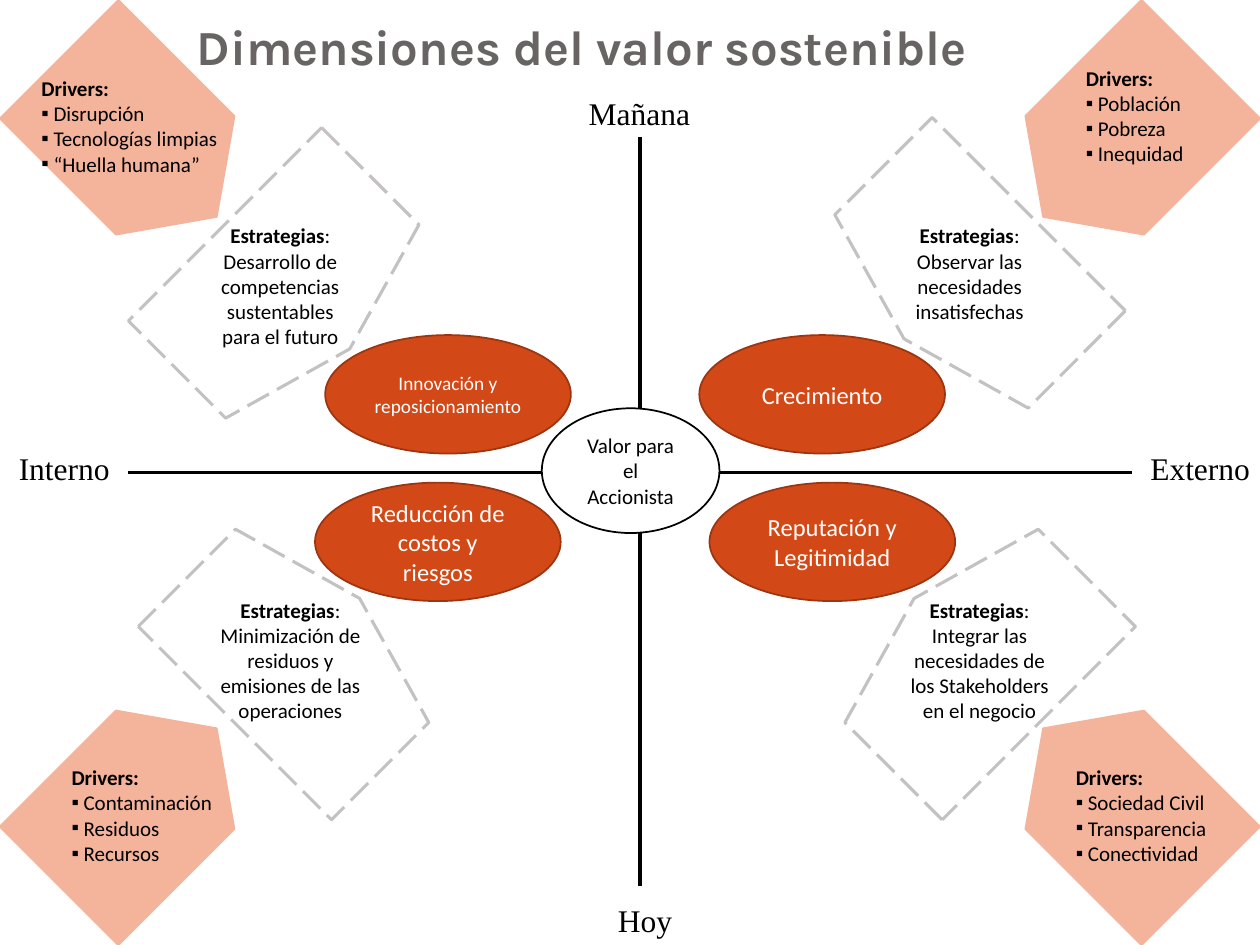
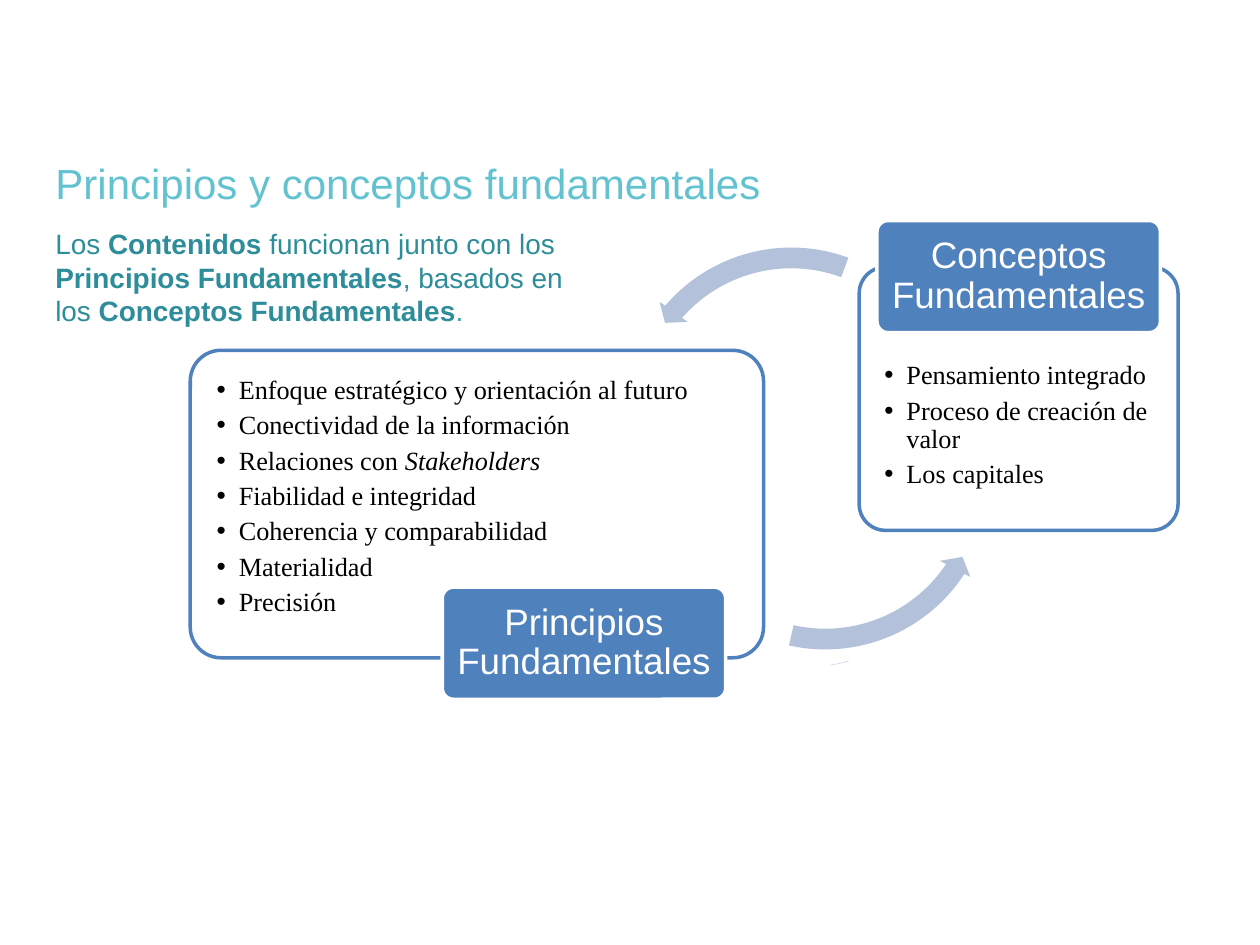
from lxml import etree
from pptx import Presentation
from pptx.dml.color import RGBColor
from pptx.enum.dml import MSO_LINE
from pptx.enum.shapes import MSO_CONNECTOR, MSO_SHAPE
from pptx.enum.text import MSO_ANCHOR, MSO_AUTO_SIZE, PP_ALIGN
from pptx.oxml.ns import qn
from pptx.util import Pt

LEFT, CENTER = PP_ALIGN.LEFT, PP_ALIGN.CENTER
TOP, MIDDLE, BOTTOM = MSO_ANCHOR.TOP, MSO_ANCHOR.MIDDLE, MSO_ANCHOR.BOTTOM
ELLIPSE, PLATE = MSO_SHAPE.OVAL, MSO_SHAPE.PENTAGON
ROUNDED, ARC_ARROW = MSO_SHAPE.ROUNDED_RECTANGLE, MSO_SHAPE.LEFT_CIRCULAR_ARROW
LONG_DASH = MSO_LINE.LONG_DASH

BLACK = RGBColor(0x00, 0x00, 0x00)
WHITE = RGBColor(0xFF, 0xFF, 0xFF)
TITLE_GRAY = RGBColor(0x69, 0x64, 0x64)
DASH_GRAY = RGBColor(0xC3, 0xC1, 0xC1)
ORANGE = RGBColor(0xD3, 0x48, 0x17)
DARK_ORANGE = RGBColor(0x9C, 0x35, 0x11)
SALMON = RGBColor(0xF4, 0xB3, 0x9B)
BLUE = RGBColor(0x4F, 0x81, 0xBD)
PALE_BLUE = RGBColor(0xB3, 0xC1, 0xDB)
AQUA = RGBColor(0x63, 0xC2, 0xD0)
TEAL = RGBColor(0x2E, 0x8D, 0x9A)
LIGHT_TEAL = RGBColor(0x36, 0xA5, 0xB4)

SANS, SERIF, BODY, DISPLAY = "Arial", "Times New Roman", "Calibri", "Karla"
BOLD = {"bold": True}


def add_bullet(p, char, indent):
    pPr = p._p.get_or_add_pPr()
    pPr.set("marL", str(Pt(indent)))
    pPr.set("indent", str(-Pt(indent)))
    etree.SubElement(pPr, qn("a:buFont")).set("typeface", SANS)
    etree.SubElement(pPr, qn("a:buChar")).set("char", char)


def write(tf, paragraphs, size=12, font=BODY, color=BLACK, bold=False, align=LEFT,
          anchor=TOP, margins=(7.2, 3.6, 7.2, 3.6), bullet=None, indent=0,
          bullet_from=0, spacing=None, after=None):
    tf.word_wrap = True
    tf.auto_size = MSO_AUTO_SIZE.NONE
    tf.vertical_anchor = anchor
    tf.margin_left, tf.margin_top, tf.margin_right, tf.margin_bottom = map(Pt, margins)
    for i, runs in enumerate(paragraphs):
        p = tf.add_paragraph() if i else tf.paragraphs[0]
        p.alignment = align
        if spacing:
            p.line_spacing = spacing
        if after:
            p.space_after = Pt(after)
        if bullet and i >= bullet_from:
            add_bullet(p, bullet, indent)
        for run in [runs] if isinstance(runs, str) else runs:
            text, style = (run, {}) if isinstance(run, str) else run
            r = p.add_run()
            r.text = text
            r.font.size = Pt(size)
            r.font.name = font
            r.font.bold = style.get("bold", bold)
            r.font.italic = style.get("italic", False)
            r.font.color.rgb = style.get("color", color)


def add_text(s, box, paragraphs, **fmt):
    write(s.shapes.add_textbox(*map(Pt, box)).text_frame, paragraphs, **fmt)


def add_title(s, box, text, **fmt):
    title = s.shapes.title
    title.left, title.top, title.width, title.height = map(Pt, box)
    write(title.text_frame, [text], **fmt)


def add_figure(s, kind, box, fill, line=None, width=1, dash=None, rotation=0, adjust=()):
    sp = s.shapes.add_shape(kind, *map(Pt, box))
    sp.shadow.inherit = False
    sp.rotation = rotation
    for i, value in enumerate(adjust):
        sp.adjustments[i] = value
    sp.fill.solid()
    sp.fill.fore_color.rgb = fill
    if line is None:
        sp.line.fill.background()
    else:
        sp.line.color.rgb = line
        sp.line.width = Pt(width)
        if dash:
            sp.line.dash_style = dash
    return sp


def add_axis(s, *ends):
    line = s.shapes.add_connector(MSO_CONNECTOR.STRAIGHT, *map(Pt, ends))
    line.line.color.rgb = BLACK
    line.line.width = Pt(2.25)
    etree.SubElement(line._element.spPr, qn("a:effectLst"))


def add_axes(s):
    add_axis(s, 365.8, 78.5, 365.8, 506.2)
    add_axis(s, 73.4, 270, 646.6, 270)
    core = add_figure(s, ELLIPSE, (309.6, 233.3, 101.5, 71.3), WHITE, BLACK)
    write(core.text_frame, ["Valor para el Accionista"], align=CENTER, anchor=MIDDLE)
    for text, x, y, w in (("Mañana", 292.3, 50.4, 146.2), ("Interno", 0, 253.1, 73.4),
                          ("Hoy", 337.7, 511.2, 61.9), ("Externo", 640.8, 253.1, 90)):
        add_text(s, (x, y, w, 28.8), [text], size=18, font=SERIF, align=CENTER)


def add_goal(s, box, text, size):
    goal = add_figure(s, ELLIPSE, box, ORANGE, DARK_ORANGE)
    write(goal.text_frame, [text], size=size, color=WHITE, align=CENTER, anchor=MIDDLE)


def add_strategy(s, box, text_at, rotation, text):
    add_figure(s, PLATE, box, WHITE, DASH_GRAY, 1.75, LONG_DASH, rotation, [0.22])
    add_text(s, (*text_at, 95.8, 79.9), [[("Estrategias", BOLD), ": " + text]], align=CENTER)


def add_drivers(s, box, text_box, rotation, items):
    add_figure(s, PLATE, box, SALMON, SALMON, rotation=rotation, adjust=[0.35])
    add_text(s, text_box, [[("Drivers:", BOLD)], *items], bullet="▪", indent=6.9, bullet_from=1)


QUADRANTS = [
    dict(right=False, lower=False, rotation=45,
         goal=("Innovación y reposicionamiento", 11), goal_x=185.8,
         plate=(113.8, 85.7), strategy_x=112.3,
         strategy="Desarrollo de competencias sustentables para el futuro",
         drivers_box=(16.6, 39.6, 123.8, 65.5),
         drivers=["Disrupción", "Tecnologías limpias", "“Huella humana”"]),
    dict(right=True, lower=False, rotation=135,
         goal=("Crecimiento", 14), goal_x=399.6,
         plate=(501.8, 79.9), strategy_x=506.2,
         strategy="Observar las necesidades insatisfechas",
         drivers_box=(613.4, 33.8, 78.5, 65.5),
         drivers=["Población", "Pobreza", "Inequidad"]),
    dict(right=False, lower=True, rotation=315,
         goal=("Reducción de costos y riesgos", 14), goal_x=180,
         plate=(119.5, 299.5), strategy_x=118.1,
         strategy="Minimización de residuos y emisiones de las operaciones",
         drivers_box=(33.8, 433.4, 101.5, 65.5),
         drivers=["Contaminación", "Residuos", "Recursos"]),
    dict(right=True, lower=True, rotation=225,
         goal=("Reputación y Legitimidad", 14), goal_x=405.4,
         plate=(507.6, 299.5), strategy_x=511.9,
         strategy="Integrar las necesidades de los Stakeholders en el negocio",
         drivers_box=(607.7, 433.4, 95.8, 65.5),
         drivers=["Sociedad Civil", "Transparencia", "Conectividad"]),
]


def add_quadrant(s, q):
    lower, rotation = q["lower"], q["rotation"]
    add_goal(s, (q["goal_x"], 275.8 if lower else 191.5, 140.4, 67.7), *q["goal"])
    add_strategy(s, (*q["plate"], 100.8, 156.2),
                 (q["strategy_x"], 337.7 if lower else 123.8), rotation, q["strategy"])
    corner = (577.4 if q["right"] else 15.1, 413.3 if lower else 31)
    add_drivers(s, (*corner, 127.4, 95.8), q["drivers_box"], rotation, q["drivers"])


def build_dimensions(s):
    add_title(s, (105.1, 0, 542.2, 50.4), "Dimensiones del valor sostenible", size=28,
              font=DISPLAY, color=TITLE_GRAY, bold=True, anchor=BOTTOM,
              margins=(7.2, 3.6, 7.2, 7.2))
    add_axes(s)
    for q in QUADRANTS:
        add_quadrant(s, q)


def add_card(s, box, items, label, label_offset, top_margin, anchor):
    card = add_figure(s, ROUNDED, box, WHITE, BLUE, 2, adjust=[0.1])
    write(card.text_frame, items, size=15, font=SERIF, anchor=anchor, bullet="•",
          indent=12.6, spacing=0.9, after=4, margins=(10, top_margin, 10, 10))
    x, y = box[0] + label_offset[0], box[1] + label_offset[1]
    tag = add_figure(s, ROUNDED, (x, y, 162, 64.1), BLUE, WHITE, 2, adjust=[0.1])
    write(tag.text_frame, [label], size=21, font=SANS, color=WHITE, align=CENTER,
          anchor=MIDDLE, spacing=0.9, margins=(2.9, 2.2, 2.9, 2.2))


def add_cycle_arrows(s):
    for x, y, rotation in ((353.5, 137.5, 180), (373, 177.8, 352.5)):
        add_figure(s, ARC_ARROW, (x, y, 197.3, 197.3), PALE_BLUE, rotation=rotation,
                   adjust=(0.06, 3.09, 24.46, 66.09, 0.05))
    sliver = add_figure(s, ARC_ARROW, (464.4, 372.2, 29.5, 7.2), PALE_BLUE, rotation=347.7,
                        adjust=(0.03, 3.09, 20.85, 90.25, 0.03))
    sliver._element.spPr.find(qn("a:xfrm")).set("flipH", "1")


def build_principles(s):
    add_title(s, (24.5, 86.4, 657.4, 61.2), "Principios y conceptos fundamentales",
              size=24, font=SANS, color=AQUA)
    add_card(s, (108.7, 200.2, 327.6, 175.7),
             ["Enfoque estratégico y orientación al futuro",
              "Conectividad de la información",
              ["Relaciones con ", ("Stakeholders", {"italic": True})],
              "Fiabilidad e integridad", "Coherencia y comparabilidad",
              "Materialidad", "Precisión"],
             "Principios Fundamentales", (144, 135.3), 10, TOP)
    add_card(s, (491, 152.6, 182.2, 150.5),
             ["Pensamiento integrado", "Proceso de creación de valor", "Los capitales"],
             "Conceptos Fundamentales", (10.1, -26.6), 41, MIDDLE)
    add_cycle_arrows(s)
    add_text(s, (24.5, 126, 320.4, 65.5),
             [["Los ", ("Contenidos ", BOLD), "funcionan junto con los ",
               ("Principios Fundamentales", BOLD), ", basados en los ",
               ("Conceptos Fundamentales", BOLD), (".", {"color": LIGHT_TEAL})]],
             size=16, font=SANS, color=TEAL)


def main():
    prs = Presentation()
    prs.slide_width, prs.slide_height = Pt(720), Pt(540)
    for build in (build_dimensions, build_principles):
        build(prs.slides.add_slide(prs.slide_layouts[5]))
    prs.save("out.pptx")


if __name__ == "__main__":
    main()
